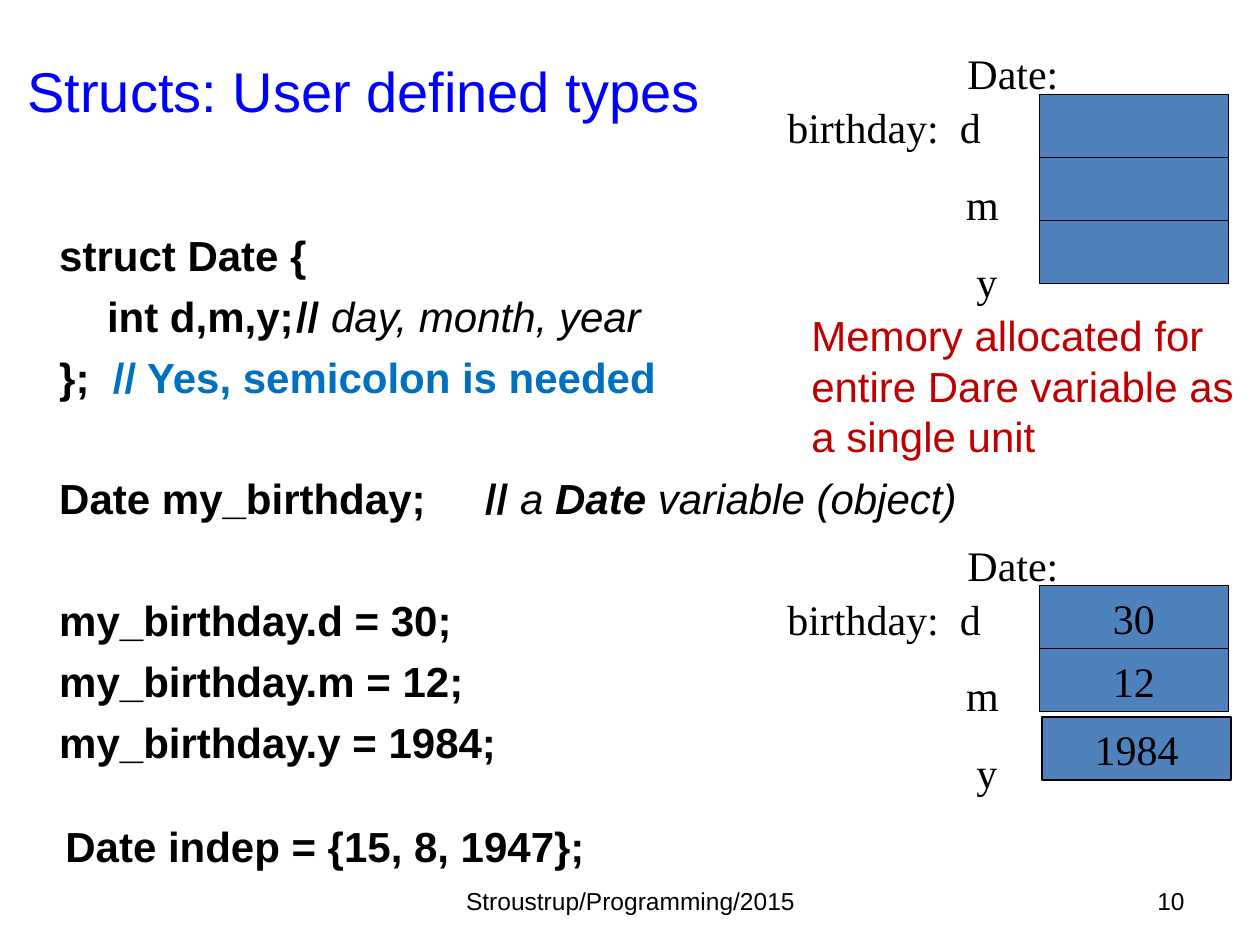
from lxml.etree import SubElement
from pptx import Presentation
from pptx.dml.color import RGBColor
from pptx.enum.shapes import MSO_SHAPE
from pptx.enum.text import MSO_ANCHOR, MSO_AUTO_SIZE, PP_ALIGN
from pptx.oxml.ns import qn
from pptx.util import Inches, Pt

SANS, SERIF = "Arial", "Times New Roman"
BLACK, BLUE, RED, NOTE, CELL = "000000", "0000FF", "C00000", "0070C0", "4F81BD"
LINE_HEIGHT = 28.8
CODE_GAP = 6
CELL_W, CELL_H = 1.5, 0.5

# Each line: is it the start of a new group, then its (text, style) pieces
CODE = [
    (False, [("struct Date {", "b")]),
    (False, [("\tint d,m,y;\t// ", "b"), ("day, month, year", "i")]),
    (False, [("};  ", "b"), ("// Yes, semicolon is needed", "bn")]),
    (True, [("Date my_birthday;\t// ", "b"), ("a ", "i"), ("Date ", "bi"),
            ("variable (object)", "i")]),
    (True, [("my_birthday.d = 30;", "b")]),
    (False, [("my_birthday.m = 12;", "b")]),
    (False, [("my_birthday.y = 1984;", "b")]),
]


def rgb(color):
    return RGBColor.from_string(color)


def place(sp, left, top, width, height):
    sp.left, sp.top = Inches(left), Inches(top)
    sp.width, sp.height = Inches(width), Inches(height)


def style(r, size=24, font=SANS, color=BLACK, bold=False, italic=False):
    r.font.size, r.font.name = Pt(size), font
    r.font.bold, r.font.italic = bold, italic
    r.font.color.rgb = rgb(color)


def add_text(slide, box, lines, align=PP_ALIGN.LEFT, anchor=MSO_ANCHOR.TOP,
             wrap=True, before=0, **font):
    sp = slide.shapes.add_textbox(*map(Inches, box))
    tf = sp.text_frame
    tf.text = "\n".join(lines)
    tf.word_wrap, tf.vertical_anchor = wrap, anchor
    for i, p in enumerate(tf.paragraphs):
        p.alignment = align
        if font.get("size", 24) == 24:
            p.line_spacing = Pt(LINE_HEIGHT)
        if i:
            p.space_before = Pt(before)
        style(p.runs[0], **font)
    return sp


def set_code_layout(p, indent=0.38, tabs=(2, 3)):
    """Hanging indent without bullet, and tab stops for the comments."""
    pPr = p._p.get_or_add_pPr()
    pPr.set("marL", str(Inches(indent)))
    pPr.set("indent", str(-Inches(indent)))
    SubElement(pPr, qn("a:buNone"))
    tab_list = SubElement(pPr, qn("a:tabLst"))
    for pos in tabs:
        SubElement(tab_list, qn("a:tab"), pos=str(Inches(pos)), algn="l")


def fill_title(sp):
    place(sp, 0, 0.09, 5.78, 1.25)
    tf = sp.text_frame
    tf.text = "Structs: User defined types"
    tf.auto_size, tf.vertical_anchor = MSO_AUTO_SIZE.NONE, MSO_ANCHOR.MIDDLE
    tf.paragraphs[0].alignment = PP_ALIGN.CENTER
    style(tf.paragraphs[0].runs[0], size=32, color=BLUE)


def fill_code(sp):
    place(sp, 0.37, 1.77, 9.25, 4.32)
    tf = sp.text_frame
    tf.auto_size, tf.vertical_anchor = MSO_AUTO_SIZE.NONE, MSO_ANCHOR.TOP
    for i, (new_group, pieces) in enumerate(CODE):
        p = tf.add_paragraph() if i else tf.paragraphs[0]
        set_code_layout(p)
        p.line_spacing = Pt(LINE_HEIGHT)
        gap = 2 * CODE_GAP + LINE_HEIGHT if new_group else CODE_GAP
        p.space_before = Pt(gap if i else 0)
        for text, marks in pieces:
            r = p.add_run()
            r.text = text
            style(r, bold="b" in marks, italic="i" in marks,
                  color=NOTE if "n" in marks else BLACK)


def add_cell(slide, left, top, value):
    sp = slide.shapes.add_shape(MSO_SHAPE.RECTANGLE, Inches(left), Inches(top),
                                Inches(CELL_W), Inches(CELL_H))
    sp.shadow.inherit = False
    sp.fill.solid()
    sp.fill.fore_color.rgb = rgb(CELL)
    sp.line.color.rgb = rgb(BLACK)
    sp.line.width = Pt(0.75)
    if value:
        tf = sp.text_frame
        tf.text = value
        tf.word_wrap, tf.vertical_anchor = False, MSO_ANCHOR.MIDDLE
        tf.paragraphs[0].alignment = PP_ALIGN.CENTER
        style(tf.paragraphs[0].runs[0], font=SERIF)


def add_date_memory(slide, top, values=("", "", ""), last_shift=(0, 0)):
    """Three stacked memory cells with the names of their members."""
    for row, value in enumerate(values):
        dx, dy = last_shift if row == 2 else (0, 0)
        add_cell(slide, 8.25 + dx, top + row * CELL_H + dy, value)
    add_text(slide, (7.58, top - 0.42, 1.17, 0.5), ["Date:"], font=SERIF)
    names = add_text(slide, (6.15, top + 0.01, 2.02, 1.72),
                     ["birthday:  d", "m", "y"], before=15, font=SERIF)
    for p, indent in zip(names.text_frame.paragraphs, (0, 1.42, 1.5)):
        p._p.get_or_add_pPr().set("marL", str(Inches(indent)))


def main():
    prs = Presentation()
    prs.slide_width, prs.slide_height = Inches(10), Inches(7.5)
    slide = prs.slides.add_slide(prs.slide_layouts[1])
    title, code = slide.placeholders
    fill_title(title)
    fill_code(code)
    add_date_memory(slide, 0.75)
    add_date_memory(slide, 4.65, ("30", "12", "1984"), last_shift=(0.02, 0.04))
    add_text(slide, (6.34, 2.41, 3.55, 1.3),
             ["Memory allocated for", "entire Dare variable as", "a single unit"],
             wrap=False, color=RED)
    add_text(slide, (0.42, 6.46, 4.32, 0.5), ["Date indep = {15, 8, 1947};"],
             wrap=False, bold=True)
    add_text(slide, (3.42, 6.95, 3.17, 0.4), ["Stroustrup/Programming/2015"],
             PP_ALIGN.CENTER, MSO_ANCHOR.MIDDLE, size=14)
    add_text(slide, (7.17, 6.95, 2.33, 0.4), ["10"],
             PP_ALIGN.RIGHT, MSO_ANCHOR.MIDDLE, size=14)
    prs.save("out.pptx")


if __name__ == "__main__":
    main()
